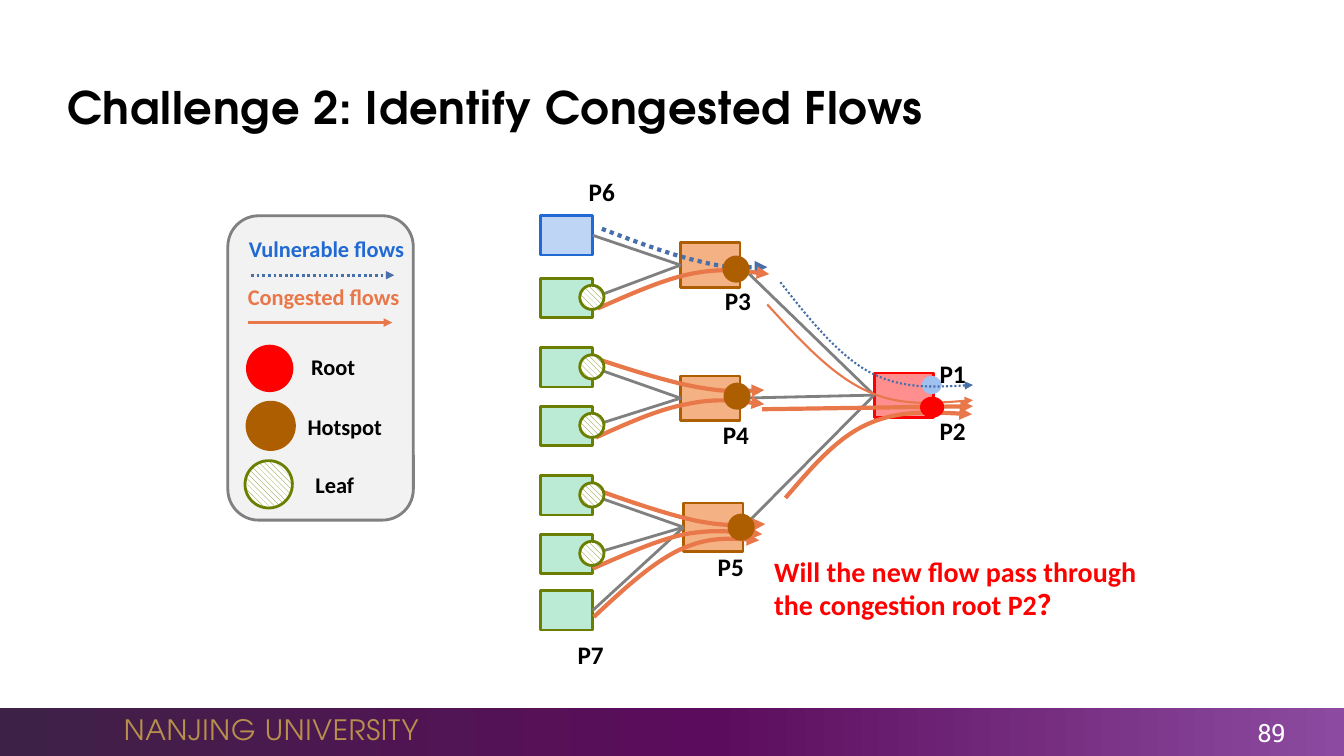
from copy import deepcopy
from dataclasses import dataclass

from lxml import etree
from pptx import Presentation
from pptx.dml.color import RGBColor
from pptx.enum.dml import MSO_LINE, MSO_PATTERN
from pptx.enum.shapes import MSO_CONNECTOR, MSO_SHAPE
from pptx.enum.text import MSO_ANCHOR, PP_ALIGN
from pptx.oxml.ns import qn
from pptx.util import Inches, Pt

RECTANGLE, ROUNDED, OVAL = MSO_SHAPE.RECTANGLE, MSO_SHAPE.ROUNDED_RECTANGLE, MSO_SHAPE.OVAL
STRAIGHT = MSO_CONNECTOR.STRAIGHT
DOTTED = MSO_LINE.ROUND_DOT
LEFT, CENTER, RIGHT = PP_ALIGN.LEFT, PP_ALIGN.CENTER, PP_ALIGN.RIGHT
TOP, MIDDLE = MSO_ANCHOR.TOP, MSO_ANCHOR.MIDDLE
HATCH, STRIPES = MSO_PATTERN.WIDE_DOWNWARD_DIAGONAL, MSO_PATTERN.DARK_VERTICAL
LEFT_SIDE, RIGHT_SIDE = 1, 3

BLACK = RGBColor(0x00, 0x00, 0x00)
WHITE = RGBColor(0xFF, 0xFF, 0xFF)
GOLD = RGBColor(0xB8, 0x8F, 0x4C)
GRAY = RGBColor(0x80, 0x80, 0x80)
PALE_GRAY = RGBColor(0xF2, 0xF2, 0xF2)
RED = RGBColor(0xFF, 0x00, 0x00)
PINK = RGBColor(0xFF, 0x8F, 0x8F)
BROWN = RGBColor(0xAD, 0x5E, 0x00)
SAND = RGBColor(0xF4, 0xB1, 0x83)
OLIVE = RGBColor(0x6C, 0x7E, 0x00)
MINT = RGBColor(0xBB, 0xEA, 0xD5)
BLUE = RGBColor(0x21, 0x69, 0xD3)
PALE_BLUE = RGBColor(0xBF, 0xD5, 0xF5)
SKY = RGBColor(0xA0, 0xC0, 0xF0)
STEEL = RGBColor(0x47, 0x6F, 0xAA)
ORANGE = RGBColor(0xE8, 0x77, 0x4A)
BAND_STOPS = [(0, RGBColor(0x3E, 0x21, 0x46)), (0.53, RGBColor(0x5C, 0x0C, 0x5C)),
              (1, RGBColor(0x8C, 0x4B, 0xA0))]
TITLE_FONT = "TeX Gyre Adventor"


@dataclass
class Box:
    left: float
    top: float
    width: float
    height: float
    fill: RGBColor
    line: RGBColor | None = None
    kind: int = RECTANGLE
    pattern: int | None = None
    rotation: float = 0


@dataclass
class Label:
    lines: list[str]
    left: float
    top: float
    width: float = 0.89
    height: float = 0.4
    size: float = 18
    color: RGBColor = BLACK
    font: str = "Calibri"
    bold: bool = True
    align: int = LEFT
    anchor: int = TOP
    wrap: bool = True
    spacing: int = 0


@dataclass
class Flow:
    """Arrow through two points, or through cubic curves given by start, controls and ends."""
    points: list[tuple[float, float]]
    width: float = 3
    vulnerable: bool = False


def add_box(shapes, box: Box):
    shape = shapes.add_shape(box.kind, *map(Inches, (box.left, box.top, box.width, box.height)))
    shape.shadow.inherit = False
    shape.rotation = box.rotation
    if box.pattern is None:
        shape.fill.solid()
        shape.fill.fore_color.rgb = box.fill
    else:
        shape.fill.patterned()
        shape.fill.pattern = box.pattern
        shape.fill.fore_color.rgb = box.fill
        shape.fill.back_color.rgb = WHITE
    if box.line is None:
        shape.line.fill.background()
    else:
        shape.line.color.rgb = box.line
        shape.line.width = Pt(2)
    return shape


def add_label(shapes, label: Label) -> None:
    shape = shapes.add_textbox(*map(Inches, (label.left, label.top, label.width, label.height)))
    frame = shape.text_frame
    frame.word_wrap = label.wrap
    frame.vertical_anchor = label.anchor
    for index, line in enumerate(label.lines):
        paragraph = frame.add_paragraph() if index else frame.paragraphs[0]
        paragraph.alignment = label.align
        run = paragraph.add_run()
        run.text = line
        run.font.name, run.font.size, run.font.bold = label.font, Pt(label.size), label.bold
        run.font.color.rgb = label.color
        if label.spacing:
            run.font._element.set("spc", str(label.spacing))


def add_line(shapes, start: tuple[float, float], end: tuple[float, float]):
    connector = shapes.add_connector(STRAIGHT, *map(Inches, (*start, *end)))
    etree.SubElement(connector._element.spPr, qn("a:effectLst"))
    connector.line.color.rgb = GRAY
    connector.line.width = Pt(2)
    return connector


def add_link(shapes, source, target) -> None:
    connector = add_line(shapes, (0, 0), (1, 1))
    connector.begin_connect(source, RIGHT_SIDE)
    connector.end_connect(target, LEFT_SIDE)


def add_curve(shapes, points: list[tuple[float, float]]):
    start, *rest = [(Inches(x), Inches(y)) for x, y in points]
    builder = shapes.build_freeform(*start)
    builder.add_line_segments(rest, close=False)
    shape = builder.convert_to_shape()
    shape.shadow.inherit = False
    shape.fill.background()
    outline = shape._element.spPr.find(".//" + qn("a:path"))
    segments = outline.findall(qn("a:lnTo"))
    for first in range(0, len(segments), 3):
        curve = etree.SubElement(outline, qn("a:cubicBezTo"))
        for segment in segments[first:first + 3]:
            curve.append(segment[0])
            outline.remove(segment)
    return shape


def add_flow(shapes, flow: Flow) -> None:
    shape = add_line(shapes, *flow.points) if len(flow.points) == 2 else add_curve(shapes, flow.points)
    shape.line.color.rgb = STEEL if flow.vulnerable else ORANGE
    shape.line.width = Pt(flow.width)
    if flow.vulnerable:
        shape.line.dash_style = DOTTED
    etree.SubElement(shape._element.spPr.find(qn("a:ln")), qn("a:tailEnd"), type="triangle")


def add_footer_band(shapes) -> None:
    band = add_box(shapes, Box(0, 7.02, 13.33, 0.48, BAND_STOPS[0][1]))
    band.fill.gradient()
    band.fill.gradient_angle = 0
    stop_list = band._element.spPr.find(".//" + qn("a:gsLst"))
    stop_list.append(deepcopy(stop_list[0]))
    for stop, (position, color) in zip(band.fill.gradient_stops, BAND_STOPS):
        stop.position, stop.color.rgb = position, color


def hotspot(left: float, top: float, size: float = 0.24) -> Box:
    return Box(left, top, size, size, BROWN, BROWN, OVAL, STRIPES, 87.2)


def leaf(left: float, top: float, size: float = 0.24) -> Box:
    return Box(left, top, size, size, OLIVE, OLIVE, OVAL, HATCH, 87.2)


HOST_TOPS = [2.14, 2.76, 3.45, 4.03, 4.72, 5.3, 5.86]
SWITCHES = [Box(6.75, 2.41, 0.59, 0.44, SAND, BROWN), Box(6.75, 3.73, 0.59, 0.44, SAND, BROWN),
            Box(6.78, 4.99, 0.59, 0.48, SAND, BROWN)]
HOST_SWITCH = [0, 0, 1, 1, 2, 2, 2]
LEGEND = [Box(2.26, 2.14, 1.84, 3.02, PALE_GRAY, GRAY, ROUNDED),
          Box(2.44, 3.42, 0.47, 0.47, RED, kind=OVAL), hotspot(2.45, 3.99, 0.47), leaf(2.43, 4.57, 0.47)]
FLOWS = [
    Flow([(2.49, 2.73), (3.91, 2.73)], 2, True),
    Flow([(2.46, 3.2), (3.89, 3.2)], 2),
    Flow([(7.74, 2.8), (8.02, 3.16), (8.31, 3.52), (8.62, 3.69), (8.94, 3.86), (9.29, 3.84), (9.65, 3.82)], 1.5, True),
    Flow([(7.61, 3.02), (7.93, 3.37), (8.24, 3.71), (8.58, 3.87), (8.91, 4.03), (9.28, 4), (9.65, 3.97)], 1.5),
    Flow([(7.56, 4.06), (9.65, 4.03)]),
    Flow([(7.79, 4.94), (8.04, 4.65), (8.29, 4.35), (8.6, 4.21), (8.91, 4.07), (9.27, 4.09), (9.64, 4.11)]),
    Flow([(5.97, 2.27), (6.31, 2.4), (6.66, 2.53), (6.93, 2.59), (7.2, 2.66), (7.4, 2.65), (7.61, 2.65)], 3, True),
    Flow([(5.93, 3.06), (6.25, 2.92), (6.56, 2.78), (6.84, 2.72), (7.13, 2.66), (7.38, 2.69), (7.63, 2.72)]),
    Flow([(5.92, 3.56), (6.28, 3.68), (6.64, 3.79), (6.91, 3.84), (7.19, 3.89), (7.39, 3.88), (7.58, 3.87)]),
    Flow([(5.91, 4.34), (6.22, 4.2), (6.53, 4.06), (6.81, 4.01), (7.09, 3.95), (7.34, 3.98), (7.58, 4.01)]),
    Flow([(5.92, 4.86), (6.28, 4.99), (6.64, 5.11), (6.92, 5.17), (7.19, 5.22), (7.39, 5.21), (7.59, 5.2)]),
    Flow([(5.88, 5.64), (6.2, 5.5), (6.51, 5.36), (6.79, 5.3), (7.07, 5.25), (7.31, 5.28), (7.56, 5.3)]),
    Flow([(5.89, 6.12), (6.18, 5.85), (6.47, 5.58), (6.75, 5.45), (7.02, 5.33), (7.27, 5.34), (7.53, 5.36)]),
]
DOTS = [Box(9.14, 3.92, 0.21, 0.24, RED, kind=OVAL, rotation=90),
        hotspot(7.18, 2.55), hotspot(7.19, 3.81), hotspot(7.23, 5.11),
        *(leaf(5.75, top + 0.07) for top in HOST_TOPS[1:6])]
PORTS = {"P1": (9.22, 3.51), "P2": (9.22, 4.07), "P3": (7.09, 2.78), "P4": (7.07, 4.11),
         "P5": (7.02, 5.42), "P6": (5.74, 1.7), "P7": (5.63, 6.29)}
LABELS = [
    Label(["NANJING UNIVERSITY"], 1.13, 7.02, 3.17, 0.44, 20, GOLD, TITLE_FONT, False,
          anchor=MIDDLE, wrap=False, spacing=50),
    Label(["89"], 11.79, 7.09, 1.06, 0.35, 18, WHITE, "Roboto Slab", False, RIGHT, MIDDLE),
    Label(["Challenge 2: Identify Congested Flows"], 0.57, 0.67, 12, 0.77, 32,
          font=TITLE_FONT, anchor=MIDDLE, spacing=50),
    Label(["Vulnerable flows"], 2.37, 2.28, 1.76, 0.37, 16, BLUE),
    Label(["Congested flows"], 2.36, 2.76, 1.76, 0.37, 16, ORANGE),
    Label(["Root"], 2.59, 3.45, 1.43, 0.37, 16, align=CENTER),
    Label(["Hotspot"], 2.59, 4.05, 1.66, 0.37, 16, align=CENTER),
    Label(["Leaf"], 2.49, 4.63, 1.66, 0.37, 16, align=CENTER),
    *(Label([name], *place) for name, place in PORTS.items()),
    Label(["Will the new flow pass through", "the congestion root P2？"], 7.58, 5.45, 3.89, 0.77, 20, RED, wrap=False),
]


def main() -> None:
    presentation = Presentation()
    presentation.slide_width, presentation.slide_height = Inches(13.33), Inches(7.5)
    shapes = presentation.slides.add_slide(presentation.slide_layouts[6]).shapes
    add_footer_band(shapes)
    for box in LEGEND:
        add_box(shapes, box)
    root = add_box(shapes, Box(8.67, 3.7, 0.59, 0.44, PINK, RED))
    add_box(shapes, Box(9.15, 3.72, 0.18, 0.2, SKY, kind=OVAL, rotation=87.2))
    switches = [add_box(shapes, box) for box in SWITCHES]
    for switch in switches:
        add_link(shapes, switch, root)
    for index, (top, target) in enumerate(zip(HOST_TOPS, HOST_SWITCH)):
        fill, line = (MINT, OLIVE) if index else (PALE_BLUE, BLUE)
        add_link(shapes, add_box(shapes, Box(5.36, top, 0.52, 0.39, fill, line)), switches[target])
    for flow in FLOWS:
        add_flow(shapes, flow)
    for dot in DOTS:
        add_box(shapes, dot)
    for label in LABELS:
        add_label(shapes, label)
    presentation.save("out.pptx")


if __name__ == "__main__":
    main()
